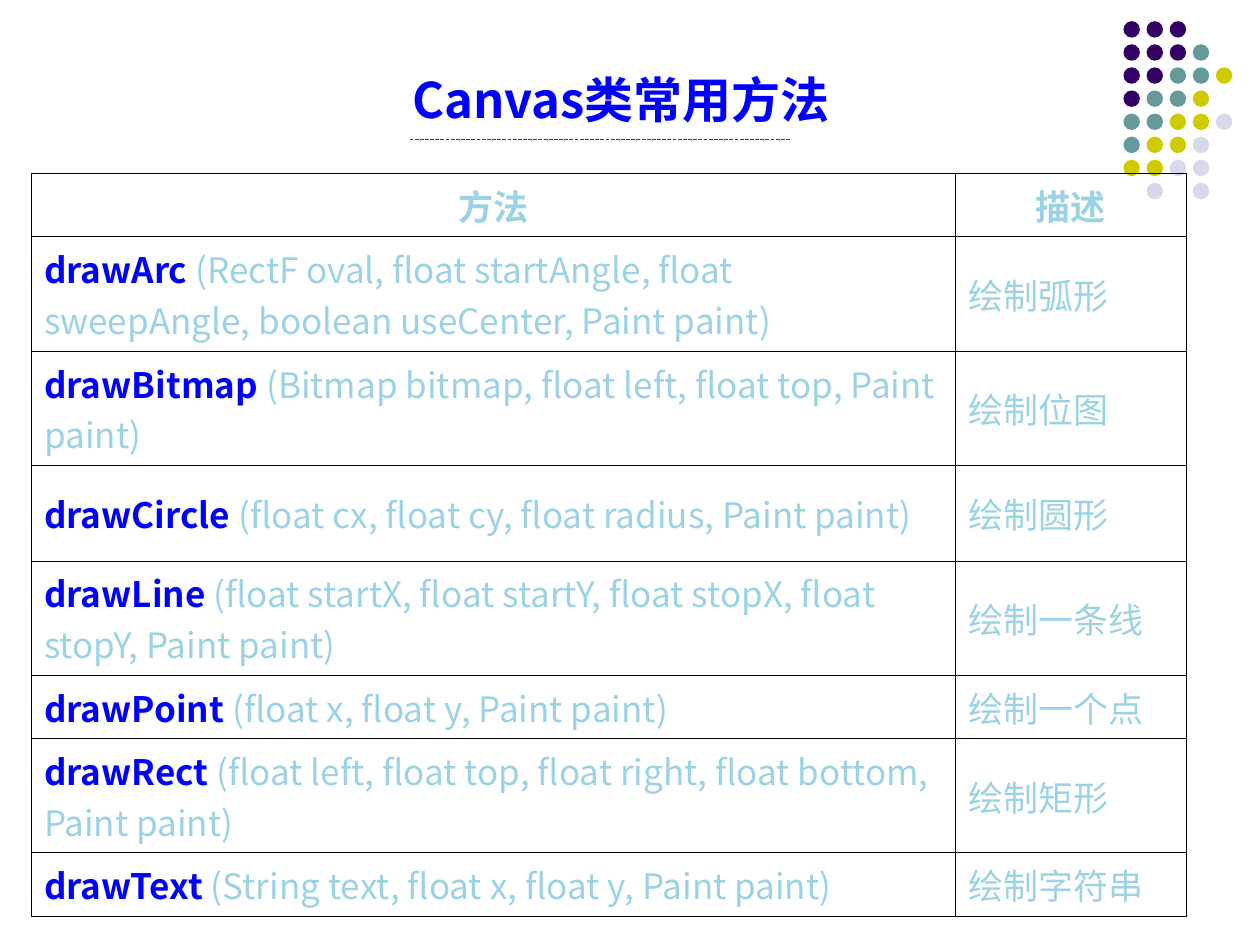
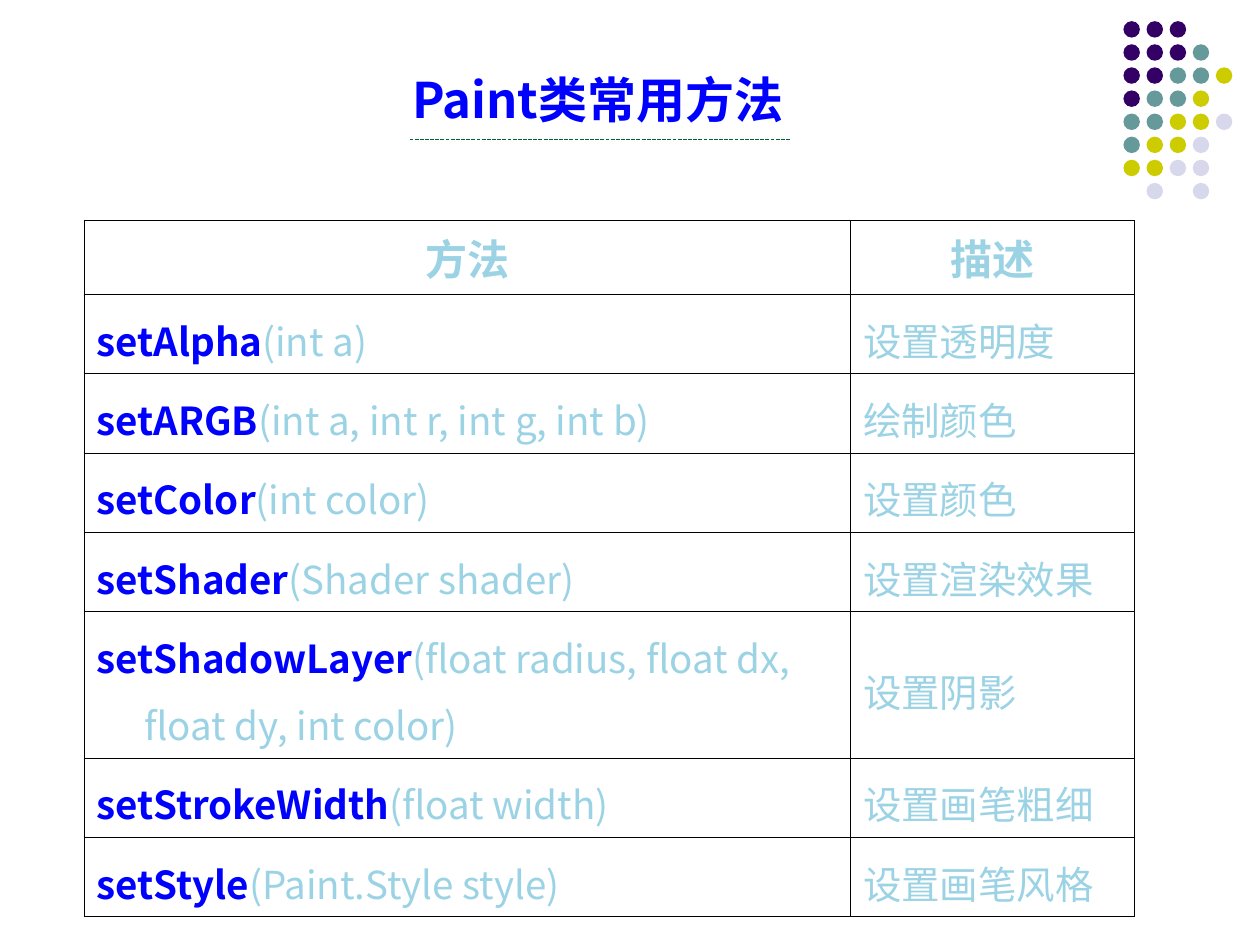
from dataclasses import dataclass

from lxml.etree import SubElement
from pptx import Presentation
from pptx.dml.color import RGBColor
from pptx.enum.dml import MSO_LINE
from pptx.enum.shapes import MSO_CONNECTOR, MSO_SHAPE
from pptx.enum.text import MSO_ANCHOR, MSO_AUTO_SIZE, PP_ALIGN
from pptx.oxml.ns import qn
from pptx.util import Pt


@dataclass(frozen=True)
class Theme:
    font: str = "Noto Sans CJK SC"
    blue: str = "0000FF"
    sky: str = "9BD3E5"
    rule: str = "006231"
    edge: str = "000000"
    plum: str = "330066"
    teal: str = "669999"
    lime: str = "CCCC00"
    mist: str = "D8D8EC"
    title: int = 28
    large: int = 24
    mid: int = 22
    small: int = 20


# Dot pattern in the corner, one letter per colour
DOTS = ["ppp", "pppt", "ppttl", "pttl", "ttllm", "tllm", "llmm", " m m"]
HEAD = ("方法", "描述")

CANVAS = [
    ("drawArc (RectF oval, float startAngle, float sweepAngle, boolean useCenter, Paint paint)",
     "绘制弧形"),
    ("drawBitmap (Bitmap bitmap, float left, float top, Paint paint)", "绘制位图"),
    ("drawCircle (float cx, float cy, float radius, Paint paint)", "绘制圆形"),
    ("drawLine (float startX, float startY, float stopX, float stopY, Paint paint)",
     "绘制一条线"),
    ("drawPoint (float x, float y, Paint paint)", "绘制一个点"),
    ("drawRect (float left, float top, float right, float bottom, Paint paint)", "绘制矩形"),
    ("drawText (String text, float x, float y, Paint paint)", "绘制字符串"),
]

PAINT = [
    ("setAlpha(int a)", "设置透明度"),
    ("setARGB(int a, int r, int g, int b)", "绘制颜色"),
    ("setColor(int color)", "设置颜色"),
    ("setShader(Shader shader)", "设置渲染效果"),
    ("setShadowLayer(float radius, float dx, float dy, int color)", "设置阴影"),
    ("setStrokeWidth(float width)", "设置画笔粗细"),
    ("setStyle(Paint.Style style)", "设置画笔风格"),
]


def write(para, text, size, color, font, bold=False):
    """Add one formatted run to a paragraph."""
    run = para.add_run()
    run.text = text
    run.font.size = Pt(size)
    run.font.bold = bold
    run.font.name = font
    run.font.color.rgb = RGBColor.from_string(color)
    SubElement(run.font._element, qn("a:ea"), typeface=font)


class Deck:
    def __init__(self, theme):
        self.theme = theme
        self.prs = Presentation()
        self.prs.slide_width, self.prs.slide_height = Pt(720), Pt(540)
        self.slide = None

    def page(self, title):
        """Start a slide with the shared dots, rule and title."""
        self.slide = self.prs.slides.add_slide(self.prs.slide_layouts[5])
        self.dots()
        self.line(234, 452, 79.6)
        self.title(title)

    def dots(self, left=642, top=12.1, step=13.2, size=9.4):
        t = self.theme
        fills = {"p": t.plum, "t": t.teal, "l": t.lime, "m": t.mist}
        group = self.slide.shapes.add_group_shape()
        for row, keys in enumerate(DOTS):
            for col, key in enumerate(keys):
                if key not in fills:
                    continue
                dot = group.shapes.add_shape(
                    MSO_SHAPE.OVAL, Pt(left + col * step), Pt(top + row * step),
                    Pt(size), Pt(size))
                dot.shadow.inherit = False
                dot.fill.solid()
                dot.fill.fore_color.rgb = RGBColor.from_string(fills[key])
                dot.line.fill.background()

    def line(self, start, end, y):
        rule = self.slide.shapes.add_connector(
            MSO_CONNECTOR.STRAIGHT, Pt(start), Pt(y), Pt(end), Pt(y))
        rule.line.color.rgb = RGBColor.from_string(self.theme.rule)
        rule.line.width = Pt(0.75)
        rule.line.dash_style = MSO_LINE.SQUARE_DOT
        rule.line._ln.find(qn("a:prstDash")).set("val", "sysDash")
        SubElement(rule._element.spPr, qn("a:effectLst"))

    def title(self, text):
        box = self.slide.shapes.title
        box.left, box.top, box.width, box.height = Pt(222), Pt(36), Pt(282), Pt(54)
        frame = box.text_frame
        frame.word_wrap = True
        frame.auto_size = MSO_AUTO_SIZE.NONE
        frame.vertical_anchor = MSO_ANCHOR.TOP
        frame.margin_left = Pt(13.5)
        para = frame.paragraphs[0]
        para.alignment = PP_ALIGN.LEFT
        t = self.theme
        write(para, text, size=t.title, color=t.blue, font=t.font, bold=True)

    def table(self, left, top, cols, rows, data, head, body, hang=0, space=1):
        """Add a ruled table: bold header, then method and description rows."""
        t = self.theme
        grid = self.slide.shapes.add_table(
            len(rows), len(cols), Pt(left), Pt(top), Pt(sum(cols)), Pt(sum(rows))).table
        grid.first_row = grid.horz_banding = False
        for col, width in zip(grid.columns, cols):
            col.width = Pt(width)
        for row, height in zip(grid.rows, rows):
            row.height = Pt(height)

        # Header
        for cell, text in zip(grid.rows[0].cells, HEAD):
            para = self.cell(cell, hang)
            para.alignment = PP_ALIGN.CENTER
            write(para, text, size=head, color=t.sky, font=t.font, bold=True)

        # Body: the method name stands out from its arguments
        for row, (call, note) in enumerate(data, 1):
            name, mark, args = call.partition("(")
            para = self.cell(grid.cell(row, 0), hang, space)
            write(para, name, size=body, color=t.blue, font=t.font, bold=True)
            write(para, mark + args, size=body, color=t.sky, font=t.font)
            para = self.cell(grid.cell(row, 1), hang, space)
            write(para, note, size=body, color=t.sky, font=t.font)

    def cell(self, cell, hang, space=1):
        """Clear and rule a cell, then return its paragraph."""
        cell.vertical_anchor = MSO_ANCHOR.MIDDLE
        props = cell._tc.get_or_add_tcPr()
        for side in ("lnL", "lnR", "lnT", "lnB"):
            edge = SubElement(props, qn(f"a:{side}"), w=str(Pt(0.45)))
            fill = SubElement(edge, qn("a:solidFill"))
            SubElement(fill, qn("a:srgbClr"), val=self.theme.edge)
        cell.fill.background()
        para = cell.text_frame.paragraphs[0]
        if space != 1:
            para.line_spacing = space
        if hang:
            layout = para._p.get_or_add_pPr()
            layout.set("marL", str(Pt(hang)))
            layout.set("indent", str(-Pt(hang)))
        return para


def main():
    theme = Theme()
    deck = Deck(theme)

    # Canvas methods
    one, two = 31, 55.2
    deck.page("Canvas类常用方法")
    deck.table(18, 99, cols=(528, 132), rows=(one, two, two, 54.7, two, one, two, one),
               data=CANVAS, head=theme.small, body=theme.small)

    # Paint methods
    one, two = 39, 70.5
    deck.page("Paint类常用方法")
    deck.table(48, 126, cols=(438, 162), rows=(36, one, one, one, one, two, one, one),
               data=PAINT, head=theme.large, body=theme.mid, hang=27.4, space=1.2)

    deck.prs.save("out.pptx")


if __name__ == "__main__":
    main()
